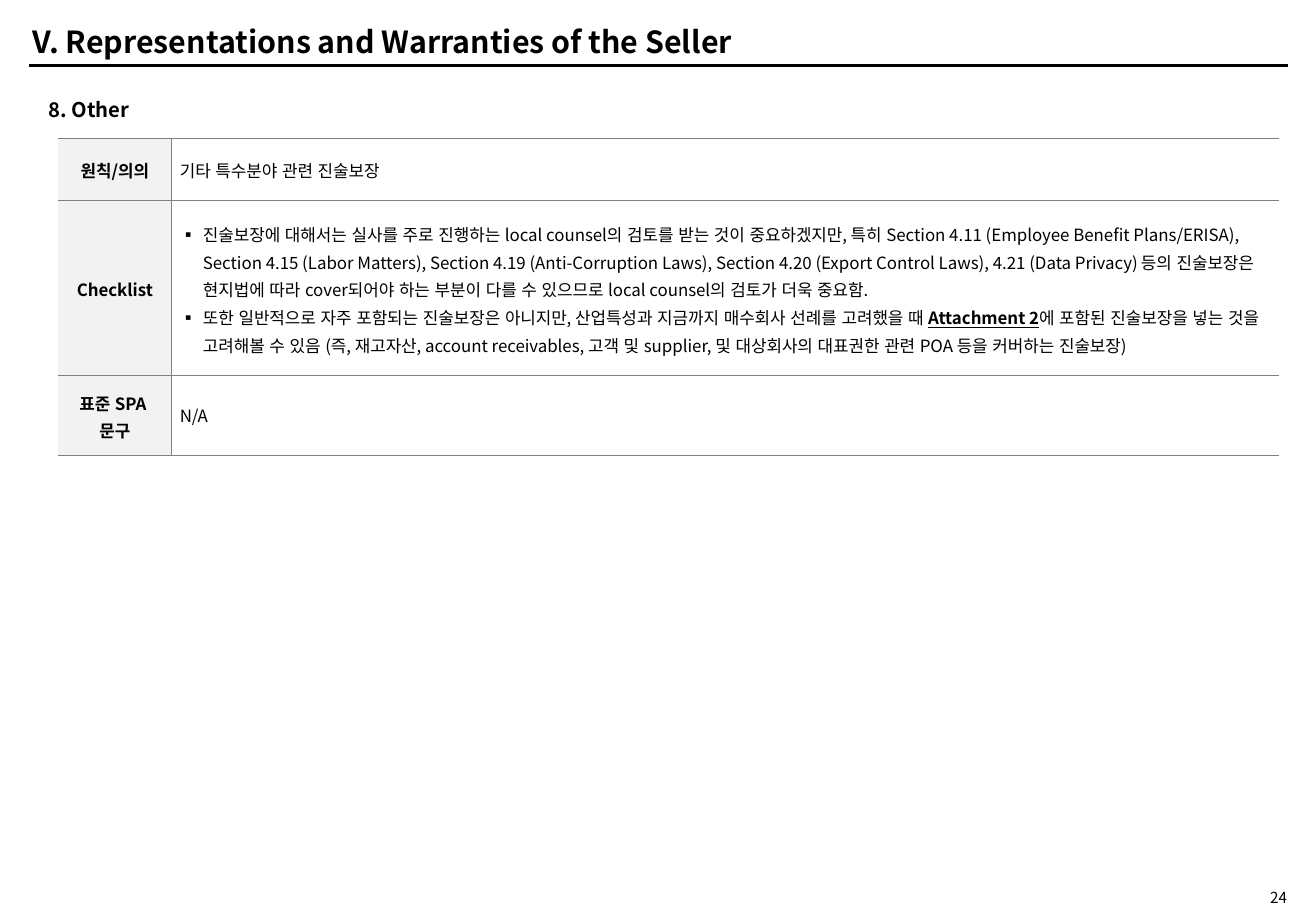
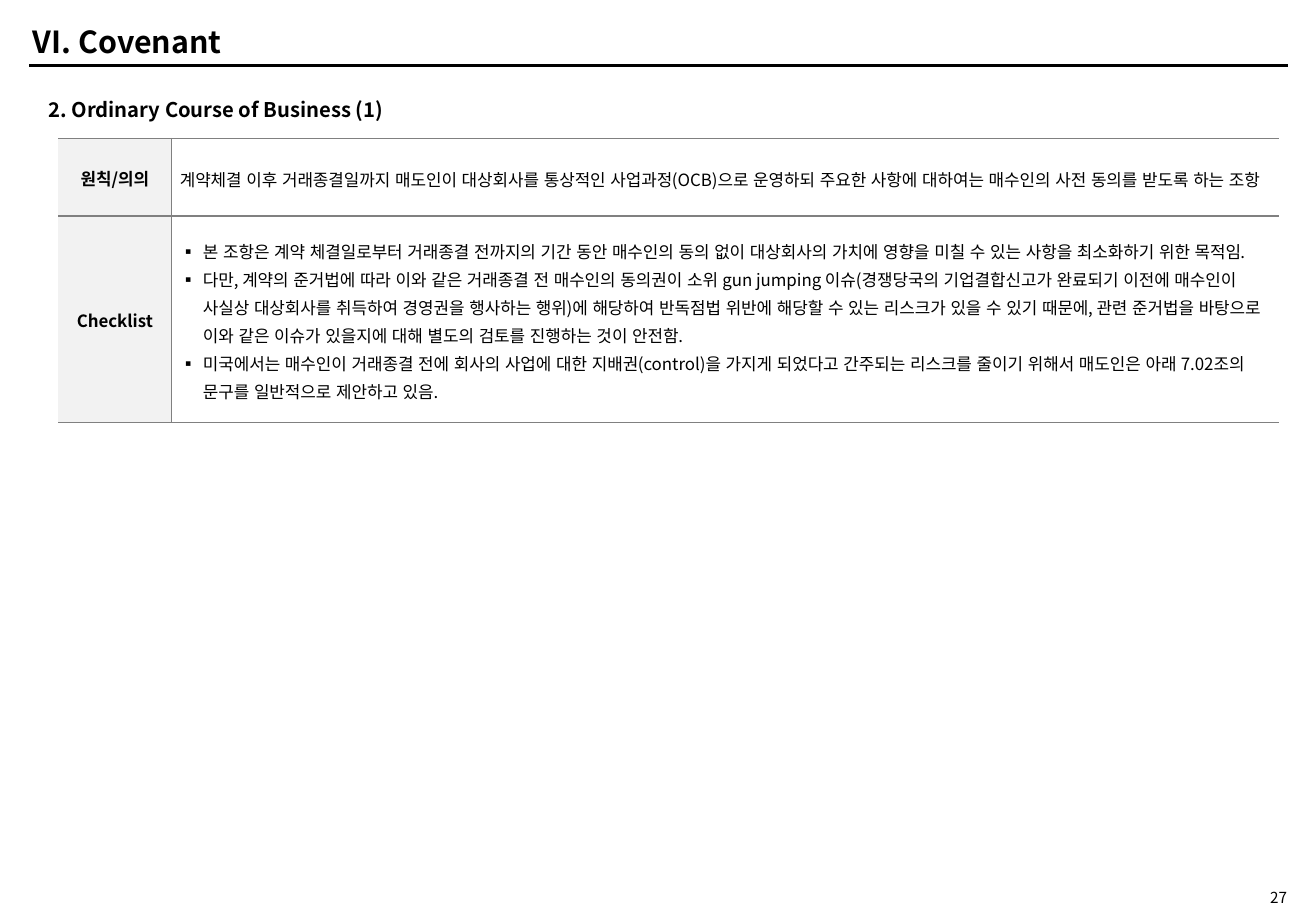
from pptx import Presentation
from pptx import util as u
from pptx.dml.color import RGBColor
from pptx.enum import lang, shapes, text
from pptx.oxml.ns import qn
from lxml import etree

PX = 9144
FONT = "Noto Sans CJK KR"
COLORS = {"ink": "000000", "grid": "808080", "label": "F2F2F2"}
LABEL_WIDTH, BODY_WIDTH = 93, 912
BULLET_INDENT = 19


def px(length):
    return u.Emu(length * PX)


def color(name):
    return RGBColor.from_string(COLORS[name])


class Deck:
    def __init__(self):
        self.prs = Presentation()
        self.prs.slide_width, self.prs.slide_height = px(1083), px(750)
        self.slide = None

    def page(self, title, heading, number, rows):
        self.slide = self.prs.slides.add_slide(self.prs.slide_layouts[5])
        self.rule(24, 54, 1060)
        self.title(title)
        self.textbox(heading, (30, 75, 1002, 30), 12, bold=True)
        page_number = self.textbox(number, (975, 731, 94, 15), 9, text.PP_ALIGN.RIGHT)
        page_number.margin_top = page_number.margin_bottom = 0
        page_number.vertical_anchor = text.MSO_ANCHOR.MIDDLE
        self.table(48, 114, rows)

    def rule(self, left, top, right):
        line = self.slide.shapes.add_connector(
            shapes.MSO_CONNECTOR.STRAIGHT, px(left), px(top), px(right), px(top))
        line.line.color.rgb = color("ink")
        line.line.width = u.Pt(2)
        etree.SubElement(line._element.spPr, qn("a:effectLst"))

    def title(self, words):
        title = self.slide.shapes.title
        title.left, title.top, title.width, title.height = map(px, (17, 15, 747, 38))
        frame = title.text_frame
        frame.auto_size = text.MSO_AUTO_SIZE.NONE
        frame.vertical_anchor = text.MSO_ANCHOR.MIDDLE
        frame.paragraphs[0].alignment = text.PP_ALIGN.LEFT
        self.run(frame.paragraphs[0], words, 18, True)

    def textbox(self, words, box, size, align=text.PP_ALIGN.LEFT, bold=False):
        frame = self.slide.shapes.add_textbox(*map(px, box)).text_frame
        frame.word_wrap = True
        frame.paragraphs[0].alignment = align
        self.run(frame.paragraphs[0], words, size, bold)
        return frame

    def run(self, paragraph, words, size=10, bold=False, underline=False):
        run = paragraph.add_run()
        run.text = words
        font = run.font
        font.size, font.bold, font.name = u.Pt(size), bold, FONT
        font.underline = underline or None
        font.color.rgb = color("ink")
        font.language_id = lang.MSO_LANGUAGE_ID.KOREAN
        latin = run._r.rPr.find(qn("a:latin"))
        latin.addnext(latin.makeelement(qn("a:ea"), {"typeface": FONT}))

    def bullet(self, paragraph):
        props = paragraph._p.get_or_add_pPr()
        props.set("marL", str(px(BULLET_INDENT)))
        props.set("indent", str(-px(BULLET_INDENT)))
        etree.SubElement(props, qn("a:buFont"), typeface=FONT)
        etree.SubElement(props, qn("a:buChar"), char="▪")

    def borders(self, cell, edges):
        props = cell._tc.get_or_add_tcPr()
        for place, edge in enumerate("LRTB"):
            line = props.makeelement(qn(f"a:ln{edge}"), {"w": str(u.Pt(1))})
            if edge in edges:
                fill = etree.SubElement(line, qn("a:solidFill"))
                etree.SubElement(fill, qn("a:srgbClr"), val=COLORS["grid"])
            else:
                etree.SubElement(line, qn("a:noFill"))
            props.insert(place, line)

    def cell(self, cell, edges, fill=None):
        cell.margin_left = cell.margin_right = px(7)
        cell.margin_top = cell.margin_bottom = 0
        cell.vertical_anchor = text.MSO_ANCHOR.MIDDLE
        if fill:
            cell.fill.solid()
            cell.fill.fore_color.rgb = color(fill)
        else:
            cell.fill.background()
        self.borders(cell, edges)
        return cell.text_frame

    def table(self, left, top, rows):
        box = (left, top, LABEL_WIDTH + BODY_WIDTH, sum(row[0] for row in rows))
        table = self.slide.shapes.add_table(len(rows), 2, *map(px, box)).table
        table.first_row = table.horz_banding = False
        table.columns[0].width, table.columns[1].width = px(LABEL_WIDTH), px(BODY_WIDTH)
        for index, (height, label, spacing, bulleted, paragraphs) in enumerate(rows):
            table.rows[index].height = px(height)
            self.label(table.cell(index, 0), label)
            self.body(table.cell(index, 1), spacing, bulleted, paragraphs)

    def label(self, cell, lines):
        paragraph = self.cell(cell, "RTB", "label").paragraphs[0]
        paragraph.alignment = text.PP_ALIGN.CENTER
        paragraph.line_spacing = 1.1
        for index, line in enumerate(lines.split("\n")):
            if index:
                paragraph.add_line_break()
            self.run(paragraph, line, bold=True)

    def body(self, cell, spacing, bulleted, paragraphs):
        frame = self.cell(cell, "LTB")
        for index, runs in enumerate(paragraphs):
            paragraph = frame.add_paragraph() if index else frame.paragraphs[0]
            if bulleted:
                self.bullet(paragraph)
            paragraph.line_spacing = spacing
            for position, words in enumerate(runs):
                strong = position % 2 == 1
                self.run(paragraph, words, bold=strong, underline=strong)


PRINCIPLE, CHECKLIST, STANDARD = "원칙/의의", "Checklist", "표준 SPA \n문구"

PAGES = [
    ("V. Representations and Warranties of the Seller", "8. Other", "24", [
        (51, PRINCIPLE, 1.1, False, [["기타 특수분야 관련 진술보장"]]),
        (144, CHECKLIST, 1.15, True, [
            ["진술보장에 대해서는 실사를 주로 진행하는 local counsel의 검토를 받는 것이 중요하겠지만, "
             "특히 Section 4.11 (Employee Benefit Plans/ERISA), Section 4.15 (Labor Matters), "
             "Section 4.19 (Anti-Corruption Laws), Section 4.20 (Export Control Laws), "
             "4.21 (Data Privacy) 등의 진술보장은 현지법에 따라 cover되어야 하는 부분이 다를 수 "
             "있으므로 local counsel의 검토가 더욱 중요함."],
            ["또한 일반적으로 자주 포함되는 진술보장은 아니지만, 산업특성과 지금까지 매수회사 선례를 "
             "고려했을 때 ",
             "Attachment 2",
             "에 포함된 진술보장을 넣는 것을 고려해볼 수 있음 (즉, 재고자산, account receivables, "
             "고객 및 supplier, 및 대상회사의 대표권한 관련 POA 등을 커버하는 진술보장)"],
        ]),
        (66, STANDARD, u.Pt(14), False, [["N/A"]]),
    ]),
    ("VI. Covenant", "2. Ordinary Course of Business (1)", "27", [
        (64, PRINCIPLE, 1.15, False, [
            ["계약체결 이후 거래종결일까지 매도인이 대상회사를 통상적인 사업과정(OCB)으로 운영하되 "
             "주요한 사항에 대하여는 매수인의 사전 동의를 받도록 하는 조항"],
        ]),
        (170, CHECKLIST, 1.15, True, [
            ["본 조항은 계약 체결일로부터 거래종결 전까지의 기간 동안 매수인의 동의 없이 대상회사의 "
             "가치에 영향을 미칠 수 있는 사항을 최소화하기 위한 목적임."],
            ["다만, 계약의 준거법에 따라 이와 같은 거래종결 전 매수인의 동의권이 소위 gun jumping "
             "이슈(경쟁당국의 기업결합신고가 완료되기 이전에 매수인이 사실상 대상회사를 취득하여 "
             "경영권을 행사하는 행위)에 해당하여 반독점법 위반에 해당할 수 있는 리스크가 있을 수 있기 "
             "때문에, 관련 준거법을 바탕으로 이와 같은 이슈가 있을지에 대해 별도의 검토를 진행하는 "
             "것이 안전함."],
            ["미국에서는 매수인이 거래종결 전에 회사의 사업에 대한 지배권(control)을 가지게 되었다고 "
             "간주되는 리스크를 줄이기 위해서 매도인은 아래 7.02조의 문구를 일반적으로 제안하고 있음."],
        ]),
    ]),
]


def main():
    deck = Deck()
    for page in PAGES:
        deck.page(*page)
    deck.prs.save("out.pptx")


if __name__ == "__main__":
    main()
